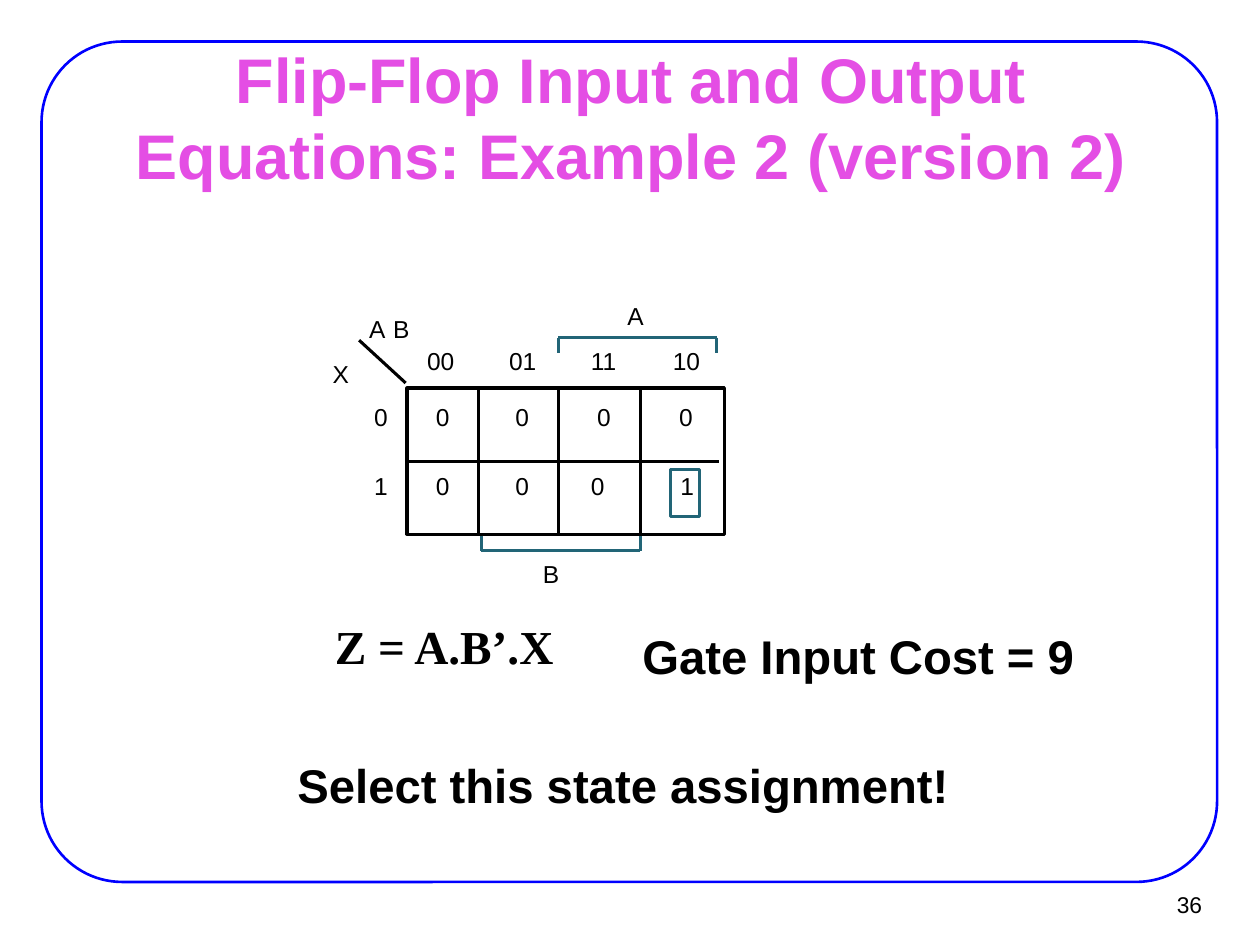
from lxml import etree
from pptx import Presentation
from pptx.dml.color import RGBColor
from pptx.enum import shapes, text
from pptx.oxml.ns import qn
from pptx.util import Inches, Pt

BLACK, BLUE, PINK, TEAL = "000000", "0000FF", "E44EE4", "226577"
THIN, GRID = 1.5, 1.75
LEFT, CENTER, RIGHT = text.PP_ALIGN.LEFT, text.PP_ALIGN.CENTER, text.PP_ALIGN.RIGHT


def color(hex_string):
    return RGBColor.from_string(hex_string)


def add_text(slide, content, left, top, width, height, *, size=14, font="Arial",
             fill=BLACK, bold=False, align=LEFT, anchor=text.MSO_ANCHOR.TOP,
             insets=(0, 0), wrap=False, grow=True):
    """Add a text box; insets are (horizontal, vertical) in inches."""
    box = slide.shapes.add_textbox(Inches(left), Inches(top), Inches(width), Inches(height))
    frame = box.text_frame
    frame.word_wrap = wrap
    frame.auto_size = (text.MSO_AUTO_SIZE.SHAPE_TO_FIT_TEXT if grow
                       else text.MSO_AUTO_SIZE.NONE)
    frame.vertical_anchor = anchor
    frame.margin_left = frame.margin_right = Inches(insets[0])
    frame.margin_top = frame.margin_bottom = Inches(insets[1])
    paragraph = frame.paragraphs[0]
    paragraph.alignment = align
    run = paragraph.add_run()
    run.text = content
    run.font.name = font
    run.font.size = Pt(size)
    run.font.bold = bold
    run.font.color.rgb = color(fill)


def add_outline(slide, kind, left, top, width, height, line, weight):
    shape = slide.shapes.add_shape(kind, Inches(left), Inches(top),
                                   Inches(width), Inches(height))
    shape.shadow.inherit = False
    shape.fill.background()
    shape.line.color.rgb = color(line)
    shape.line.width = Pt(weight)
    return shape


def add_line(slide, start, end, line=BLACK):
    connector = slide.shapes.add_connector(
        shapes.MSO_CONNECTOR.STRAIGHT, *(Inches(value) for value in (*start, *end)))
    connector.line.color.rgb = color(line)
    connector.line.width = Pt(GRID)
    etree.SubElement(connector._element.spPr, qn("a:effectLst"))
    return connector


def add_bracket(slide, left, right, open_y, closed_y):
    corners = [(left, open_y), (left, closed_y), (right, closed_y), (right, open_y)]
    for start, end in zip(corners, corners[1:]):
        add_line(slide, start, end, TEAL)


def add_label(slide, content, left, top):
    add_text(slide, content, left, top, 0.13 * len(content), 0.23)


def add_karnaugh_map(slide):
    grid = add_outline(slide, shapes.MSO_SHAPE.RECTANGLE, 3.23, 3.08, 2.52, 1.16, BLACK, GRID)
    row_divider = add_line(slide, (3.23, 3.66), (5.71, 3.66))
    row_divider.begin_connect(grid, 1)
    for x in (3.8, 4.43, 5.08):
        add_line(slide, (x, 3.07), (x, 4.23))
    add_line(slide, (3.22, 3.04), (2.85, 2.7))

    add_bracket(slide, 4.43, 5.69, 2.8, 2.68)
    add_bracket(slide, 3.82, 5.08, 4.25, 4.37)

    for content, left, top in [("A", 2.93, 2.49), ("B", 3.12, 2.49), ("X", 2.64, 2.85),
                               ("A", 4.98, 2.39), ("B", 4.31, 4.44)]:
        add_label(slide, content, left, top)
    for column, code in enumerate(("00", "01", "11", "10")):
        add_label(slide, code, 3.39 + 0.65 * column, 2.75)

    # Each row: top, then its X value and cell values with their left edges
    rows = [
        (3.19, "00000", (2.97, 3.46, 4.09, 4.74, 5.39)),
        (3.74, "10001", (2.97, 3.46, 4.09, 4.69, 5.4)),
    ]
    for top, values, lefts in rows:
        for value, left in zip(values, lefts):
            add_label(slide, value, left, top)
    add_outline(slide, shapes.MSO_SHAPE.RECTANGLE, 5.32, 3.73, 0.23, 0.37, TEAL, GRID)


def main():
    presentation = Presentation()
    presentation.slide_width, presentation.slide_height = Inches(10), Inches(7.5)
    slide = presentation.slides.add_slide(presentation.slide_layouts[6])

    border = add_outline(slide, shapes.MSO_SHAPE.ROUNDED_RECTANGLE,
                         0.33, 0.33, 9.33, 6.67, BLUE, THIN)
    border.adjustments[0] = 0.096
    middle = text.MSO_ANCHOR.MIDDLE
    add_text(slide, "36", 9.02, 6.99, 0.61, 0.37, size=13, align=RIGHT,
             anchor=middle, insets=(0.09, 0.04), grow=False)
    add_text(slide, "Flip-Flop Input and Output Equations: Example 2 (version 2)",
             0.76, 0.68, 8.5, 0.49, size=36, fill=PINK, bold=True, align=CENTER,
             anchor=middle, insets=(0.11, 0.06), wrap=True, grow=False)

    add_karnaugh_map(slide)

    statement = dict(size=27, bold=True, insets=(0.1, 0.05))
    add_text(slide, "Z = A.B’.X", 2.56, 4.85, 3.7, 0.55,
             font="Times New Roman", wrap=True, **statement)
    add_text(slide, "Gate Input Cost = 9", 5, 4.93, 3.63, 0.55, **statement)
    add_text(slide, "Select this state assignment!", 2.26, 5.95, 5.37, 0.55,
             align=CENTER, **statement)

    presentation.save("out.pptx")


if __name__ == "__main__":
    main()
